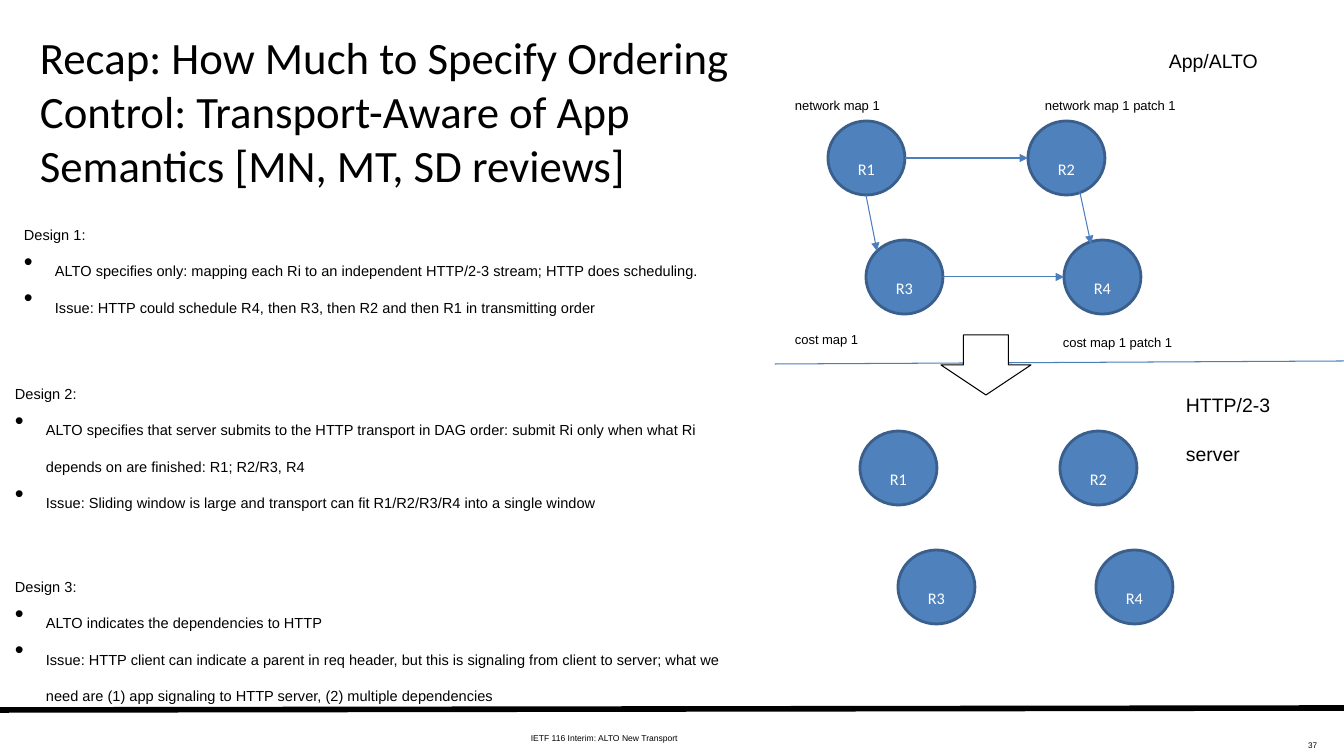
from lxml.etree import SubElement, fromstring
from pptx import Presentation
from pptx.dml.color import RGBColor
from pptx.enum.shapes import MSO_CONNECTOR, MSO_SHAPE
from pptx.enum.text import MSO_ANCHOR, MSO_AUTO_SIZE, PP_ALIGN
from pptx.oxml.ns import qn
from pptx.util import Emu, Pt

BLACK = RGBColor(0x00, 0x00, 0x00)
WHITE = RGBColor(0xFF, 0xFF, 0xFF)
NODE_FILL = RGBColor(0x4F, 0x81, 0xBD)
NODE_EDGE = RGBColor(0x3A, 0x5F, 0x8C)
LINK_BLUE = RGBColor(0x4B, 0x7E, 0xBC)

NODE_WIDTH, NODE_HEIGHT = 77, 74
NODES = {"R1": (828, 121), "R2": (1028, 121), "R3": (866, 240), "R4": (1064, 240)}
SERVER_SHIFT = (32, 310)
DEPENDENCIES = [
    ((905, 158), (1028, 158)),
    ((866, 195), (877, 251)),
    ((943, 277), (1064, 277)),
    ((1079, 188), (1091, 244)),
]
LABELS = [
    ("App/ALTO", (1159, 19, 175, 50), 24),
    ("HTTP/2-3\nserver", (1176, 363, 167, 92), 24),
    ("network map 1", (785, 76, 168, 37), 16),
    ("network map 1 patch 1", (1035, 76, 249, 37), 16),
    ("cost map 1", (785, 310, 131, 37), 16),
    ("cost map 1 patch 1", (1053, 313, 212, 37), 16),
    ("IETF 116 Interim: ALTO New Transport", (521, 717, 279, 28), 10.5),
]
DESIGNS = [
    ((14, 202, 732, 163), "Design 1:", [
        "ALTO specifies only: mapping each Ri to an independent HTTP/2-3 stream; HTTP does scheduling.",
        "Issue: HTTP could schedule R4, then R3, then R2 and then R1 in transmitting order",
    ]),
    ((5, 361, 750, 194), "Design 2:", [
        "ALTO specifies that server submits to the HTTP transport in DAG order: "
        "submit Ri only when what Ri depends on are finished: R1; R2/R3, R4",
        "Issue: Sliding window is large and transport can fit R1/R2/R3/R4 into a single window",
    ]),
    ((5, 554, 750, 163), "Design 3:", [
        "ALTO indicates the dependencies to HTTP",
        "Issue: HTTP client can indicate a parent in req header, but this is signaling from client "
        "to server; what we need are (1) app signaling to HTTP server, (2) multiple dependencies",
    ]),
]
TITLE_SHADOW = (
    '<a:effectLst xmlns:a="http://schemas.openxmlformats.org/drawingml/2006/main">'
    '<a:outerShdw blurRad="38100" dist="38100" dir="2700000" algn="tl">'
    '<a:srgbClr val="000000"><a:alpha val="43000"/></a:srgbClr>'
    '</a:outerShdw></a:effectLst>'
)


def px(length):
    return Emu(round(length * 914400 / 100.8))


def add_run(paragraph, text, size, color=BLACK, font="Arial", lowered=True):
    run = paragraph.add_run()
    run.text = text
    run.font.size = Pt(size)
    run.font.name = font
    run.font.color.rgb = color
    if lowered:
        run._r.get_or_add_rPr().set("baseline", "-33000")
    return run


def add_text_frame(slide, box, wrap=True):
    frame = slide.shapes.add_textbox(*map(px, box)).text_frame
    frame.word_wrap = wrap
    return frame


def add_label(slide, text, box, size):
    frame = add_text_frame(slide, box, wrap=False)
    frame.auto_size = MSO_AUTO_SIZE.SHAPE_TO_FIT_TEXT
    paragraph = frame.paragraphs[0]
    for index, row in enumerate(text.split("\n")):
        if index:
            paragraph.add_line_break()
        add_run(paragraph, row, size)


def add_title(slide, text):
    frame = add_text_frame(slide, (30, 19, 721, 183))
    frame.vertical_anchor = MSO_ANCHOR.MIDDLE
    run = add_run(frame.paragraphs[0], text, 32, font="Calibri", lowered=False)
    run._r.rPr.find(qn("a:solidFill")).addnext(fromstring(TITLE_SHADOW))


def add_bullet(paragraph):
    properties = paragraph._p.get_or_add_pPr()
    properties.set("marL", str(px(31)))
    properties.set("indent", str(-px(31)))
    SubElement(properties, qn("a:buFont")).set("typeface", "Arial")
    SubElement(properties, qn("a:buChar")).set("char", "•")


def add_design(slide, box, heading, points):
    frame = add_text_frame(slide, box)
    add_run(frame.paragraphs[0], heading, 18)
    for point in points:
        paragraph = frame.add_paragraph()
        add_bullet(paragraph)
        add_run(paragraph, point, 18)


def add_outlined_shape(slide, preset, box, fill, edge, weight):
    shape = slide.shapes.add_shape(preset, *map(px, box))
    shape.shadow.inherit = False
    shape.fill.solid()
    shape.fill.fore_color.rgb = fill
    shape.line.color.rgb = edge
    shape.line.width = Pt(weight)
    return shape


def add_node(slide, name, left, top):
    node = add_outlined_shape(slide, MSO_SHAPE.OVAL, (left, top, NODE_WIDTH, NODE_HEIGHT),
                              NODE_FILL, NODE_EDGE, 2)
    node.text_frame.vertical_anchor = MSO_ANCHOR.MIDDLE
    paragraph = node.text_frame.paragraphs[0]
    paragraph.alignment = PP_ALIGN.CENTER
    add_run(paragraph, name, 20, WHITE, "Calibri")


def add_line(slide, start, end, color=LINK_BLUE, weight=0.75, arrow=False):
    line = slide.shapes.add_connector(MSO_CONNECTOR.STRAIGHT, *map(px, start + end))
    line.line.color.rgb = color
    line.line.width = Pt(weight)
    if arrow:
        SubElement(line.line._get_or_add_ln(), qn("a:tailEnd")).set("type", "triangle")
    SubElement(line._element.spPr, qn("a:effectLst"))


def add_page_number(slide, number):
    paragraph = add_text_frame(slide, (1047, 725, 280, 33)).paragraphs[0]
    paragraph.alignment = PP_ALIGN.RIGHT
    add_run(paragraph, number, 10)


def main():
    deck = Presentation()
    deck.slide_width, deck.slide_height = px(1344), px(756)
    slide = deck.slides.add_slide(deck.slide_layouts[6])

    add_line(slide, (0, 710), (1344, 708), BLACK, 4)
    add_page_number(slide, "37")
    add_line(slide, (775, 364), (1344, 361))
    for label in LABELS:
        add_label(slide, *label)
    for design in DESIGNS:
        add_design(slide, *design)
    for shift_x, shift_y in ((0, 0), SERVER_SHIFT):
        for name, (left, top) in NODES.items():
            add_node(slide, name, left + shift_x, top + shift_y)
    for start, end in DEPENDENCIES:
        add_line(slide, start, end, arrow=True)
    add_title(slide, "Recap: How Much to Specify Ordering Control: "
                     "Transport-Aware of App Semantics [MN, MT, SD reviews]")
    add_outlined_shape(slide, MSO_SHAPE.DOWN_ARROW, (941, 335, 90, 60), WHITE, BLACK, 0.75)

    deck.save("out.pptx")


if __name__ == "__main__":
    main()
